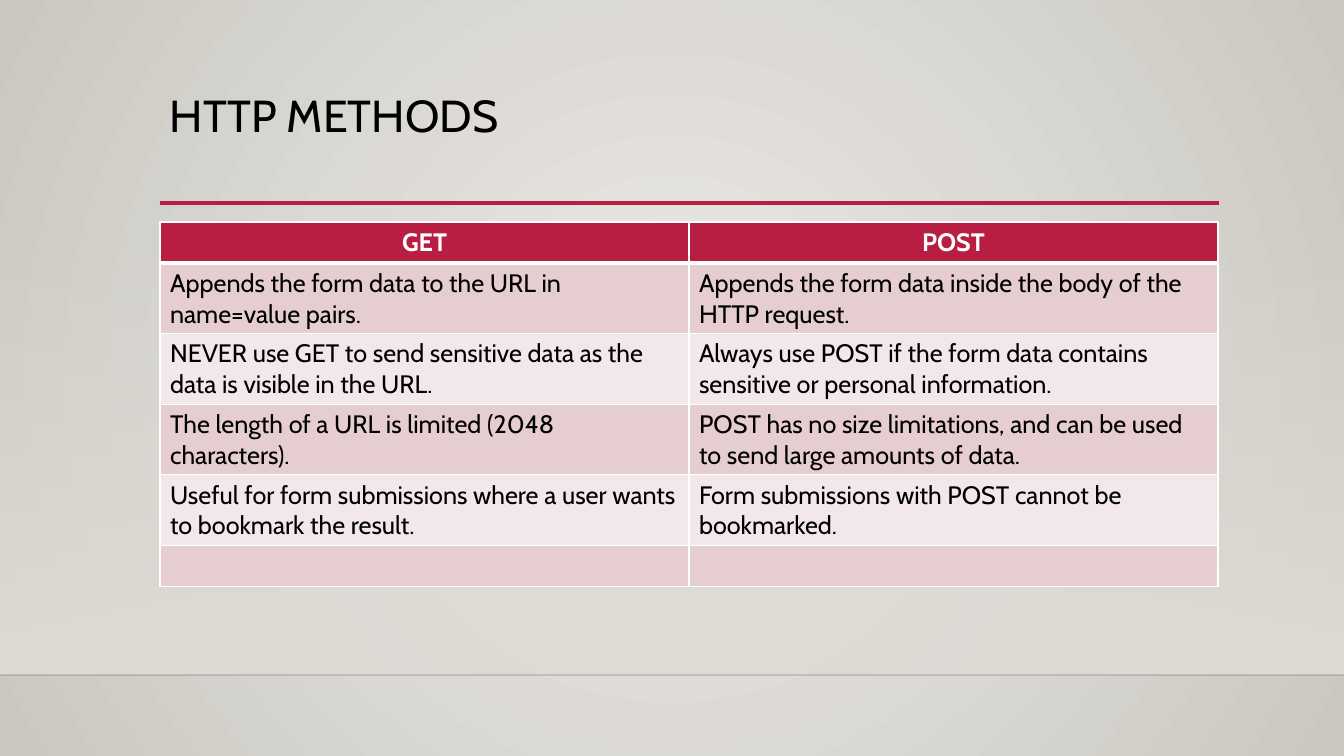
"""Build the HTTP methods comparison slide."""
import pptx
import pptx.dml.color
import pptx.enum.shapes
import pptx.enum.text
import pptx.oxml
import pptx.oxml.ns
import pptx.util

COLORS = {
    "glow": "ECEAE7", "edge": "CAC7C1", "wall": "DFDBD5",
    "horizon": "000001", "accent": "B71E42", "text": "000000",
    "white": "FFFFFF", "dark_band": "E6CDCF", "light_band": "F3E8E9",
}
ROWS = [
    ("GET", "POST"),
    ("Appends the form data to the URL in name=value pairs.",
     "Appends the form data inside the body of the HTTP request."),
    ("NEVER use GET to send sensitive data as the data is visible in the URL.",
     "Always use POST if the form data contains sensitive or personal information."),
    ("The length of a URL is limited (2048 characters).",
     "POST has no size limitations, and can be used to send large amounts of data."),
    ("Useful for form submissions where a user wants to bookmark the result.",
     "Form submissions with POST cannot be bookmarked."),
    ("", ""),
]
EMU_PER_PX = 914400 / 100.8
A_NS = pptx.oxml.ns.nsdecls("a")
qn = pptx.oxml.ns.qn


def px(n):
    return pptx.util.Emu(round(n * EMU_PER_PX))


def rgb(name):
    return pptx.dml.color.RGBColor.from_string(COLORS[name])


def xml(text):
    return pptx.oxml.parse_xml(text.replace(" ", f" {A_NS} ", 1))


def set_opacity(color, percent):
    color.append(xml(f'<a:alpha val="{percent * 1000}"/>'))


class Deck:
    """Slide builder with one font and a pixel scale."""

    def __init__(self, width, height, font):
        self.prs = pptx.Presentation()
        self.prs.slide_width, self.prs.slide_height = px(width), px(height)
        self.s = self.prs.slides.add_slide(self.prs.slide_layouts[6])
        self.font = font

    def style(self, p, size, color, bold=False):
        p.font.name, p.font.size, p.font.bold = self.font, pptx.util.Pt(size), bold
        p.font.color.rgb = rgb(color)

    def gradient(self, fill, start, end):
        fill.gradient()
        for stop, name in zip(fill.gradient_stops, (start, end)):
            stop.color.rgb = rgb(name)

    def background(self, center, edge):
        self.gradient(self.s.background.fill, center, edge)
        lin = self.s.element.find(".//" + qn("a:lin"))
        lin.getparent().replace(lin, xml(
            '<a:path path="circle"><a:fillToRect l="50000" t="50000" '
            'r="50000" b="50000"/></a:path>'))

    def fade(self, x, y, w, h, color):
        sp = self.s.shapes.add_shape(
            pptx.enum.shapes.MSO_SHAPE.RECTANGLE, px(x), px(y), px(w), px(h))
        sp.shadow.inherit = False
        sp.line.fill.background()
        self.gradient(sp.fill, color, color)
        sp.fill.gradient_angle = 270
        set_opacity(sp.element.spPr.find(".//" + qn("a:srgbClr")), 0)

    def rule(self, x1, x2, y, color, width, opacity=100):
        line = self.s.shapes.add_connector(
            pptx.enum.shapes.MSO_CONNECTOR.STRAIGHT, px(x1), px(y), px(x2), px(y))
        line.line.color.rgb = rgb(color)
        line.line.width = pptx.util.Pt(width)
        spPr = line.element.spPr
        if opacity < 100:
            set_opacity(spPr.find(".//" + qn("a:srgbClr")), opacity)
        spPr.append(xml("<a:effectLst />"))

    def title(self, x, y, w, h, text):
        tf = self.s.shapes.add_textbox(px(x), px(y), px(w), px(h)).text_frame
        tf.word_wrap = True
        tf.vertical_anchor = pptx.enum.text.MSO_ANCHOR.TOP
        p = tf.paragraphs[0]
        p.text, p.line_spacing = text, 0.9
        self.style(p, 32, "text")

    def cell(self, cell, text, row):
        header = row == 0
        tcPr = cell._tc.get_or_add_tcPr()
        for side in "LRTB":
            heavy = (row, side) in ((0, "B"), (1, "T"))
            width = pptx.util.Pt(3 if heavy else 1)
            tcPr.append(xml(
                f'<a:ln{side} w="{width}"><a:solidFill><a:srgbClr '
                f'val="{COLORS["white"]}"/></a:solidFill></a:ln{side}>'))
        cell.fill.solid()
        band = "dark_band" if row % 2 else "light_band"
        cell.fill.fore_color.rgb = rgb("accent" if header else band)
        p = cell.text_frame.paragraphs[0]
        if text:
            p.text = text
        if header:
            p.alignment = pptx.enum.text.PP_ALIGN.CENTER
        self.style(p, 18, "white" if header else "text", header)

    def table(self, x, y, w, row_height, rows):
        table = self.s.shapes.add_table(
            len(rows), len(rows[0]), px(x), px(y), px(w),
            px(row_height * len(rows))).table
        for i, row in enumerate(rows):
            for j, text in enumerate(row):
                self.cell(table.cell(i, j), text, i)


def main():
    deck = Deck(1344, 756, "Cabin")
    deck.background("glow", "edge")
    deck.fade(0, 223, 1344, 452, "wall")
    deck.rule(0, 1344, 675, "horizon", 1, opacity=20)
    deck.rule(160, 1219, 203, "accent", 2.5)
    deck.title(160, 89, 1058, 116, "HTTP METHODS")
    deck.table(160, 222, 1058, 41, ROWS)
    deck.prs.save("out.pptx")


if __name__ == "__main__":
    main()
